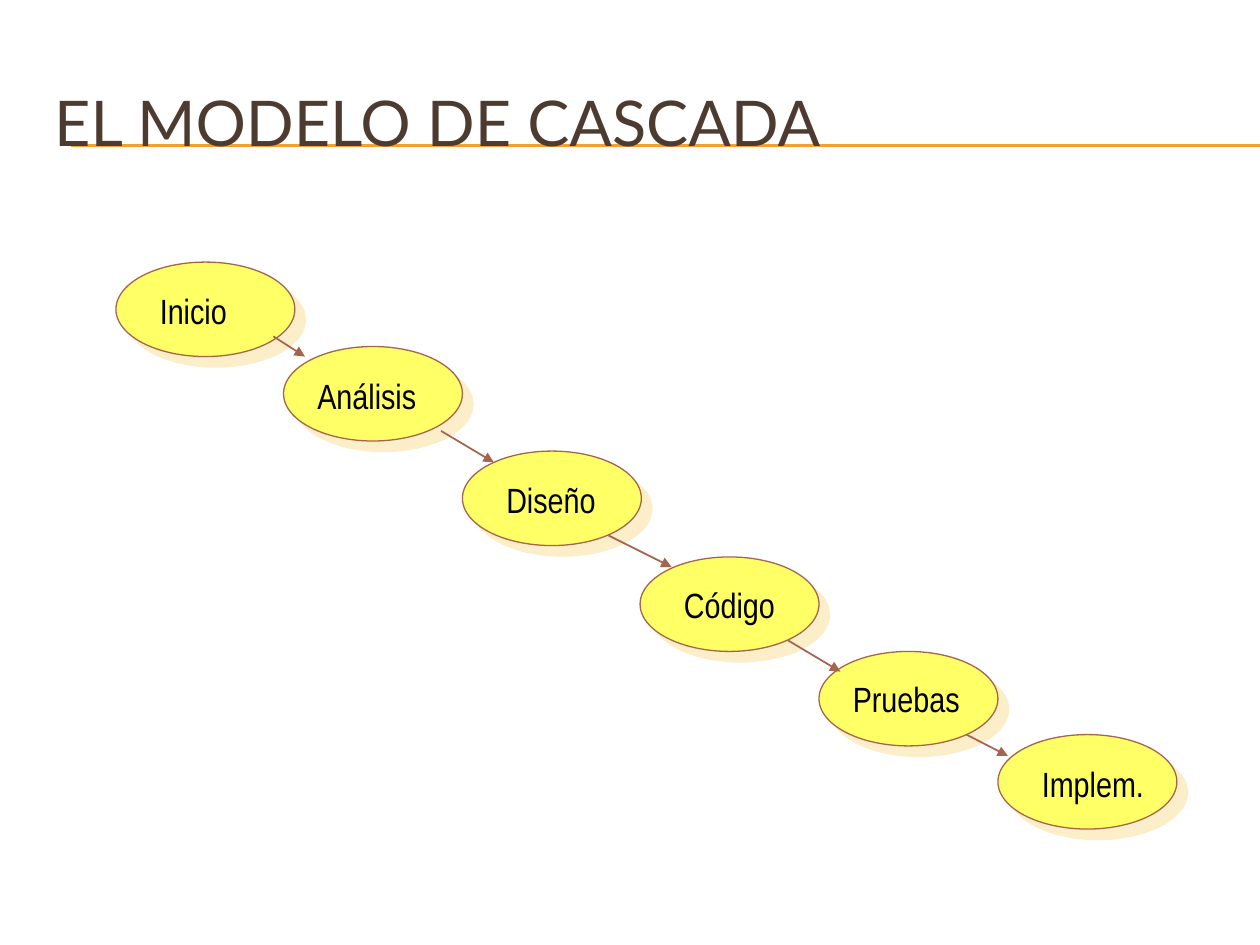
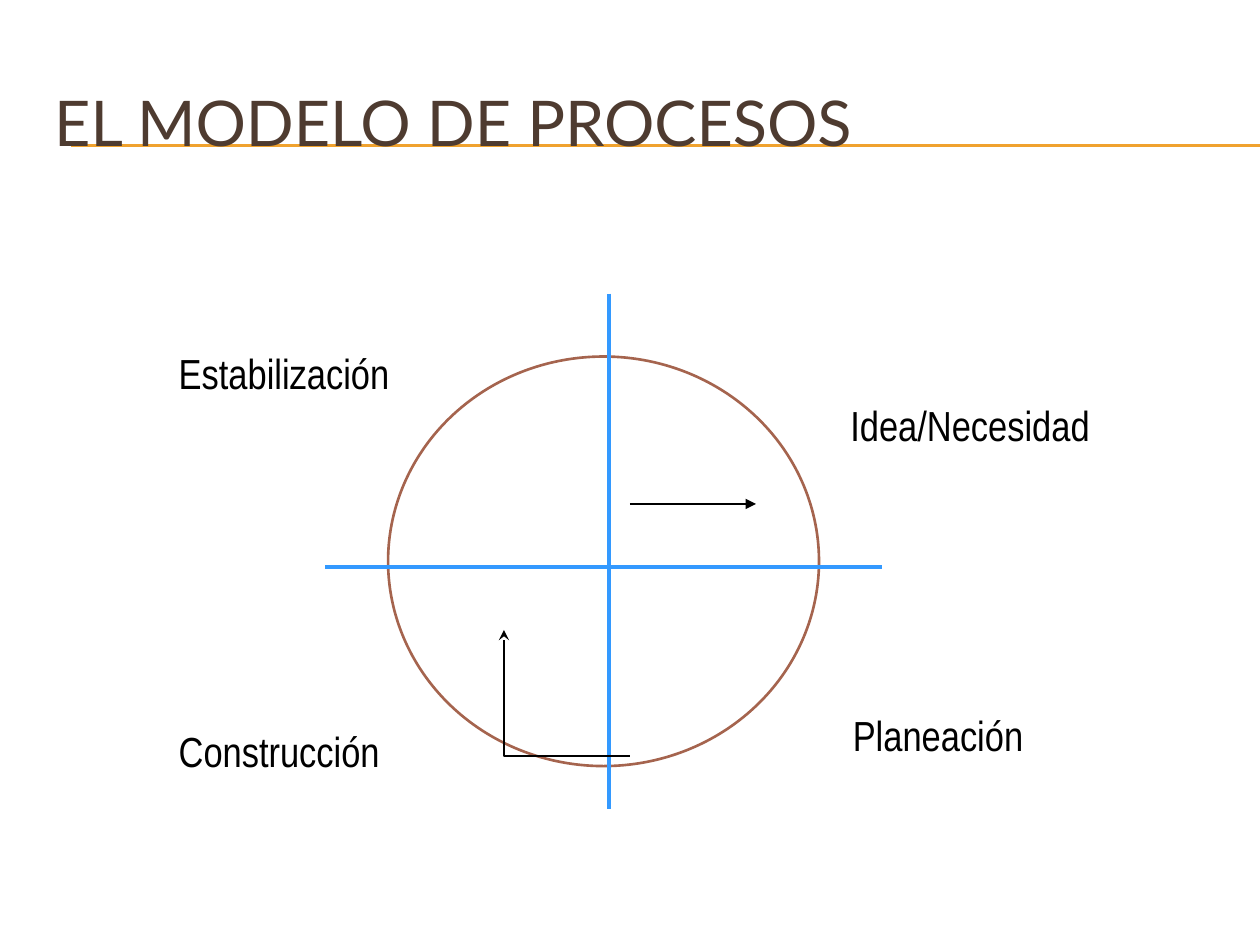
"""Build two slides on the waterfall model and the process model."""
from lxml import etree
from pptx import Presentation
from pptx.dml.color import RGBColor
from pptx.enum.shapes import MSO_CONNECTOR, MSO_SHAPE
from pptx.enum.text import MSO_ANCHOR, MSO_AUTO_SIZE, PP_ALIGN
from pptx.oxml.ns import qn
from pptx.util import Inches, Pt

OVAL = MSO_SHAPE.OVAL
LINE = MSO_CONNECTOR.STRAIGHT
LEFT = PP_ALIGN.LEFT
MIDDLE = MSO_ANCHOR.MIDDLE
GROW = MSO_AUTO_SIZE.SHAPE_TO_FIT_TEXT

HUES = {"title": "4E3B30", "rule": "F0A22E", "edge": "A5644E", "step": "FFFF66",
        "shade": "FBEEC9", "axis": "3399FF", "ink": "000000"}
HEAD_FONT, TEXT_FONT = "Lato", "Arial Narrow"
RULES = [(0.56, y, 10, y) for y in (1.15, 1.16)]

STEP_SIZE = (1.42, 0.75)
STEPS = [
    ("Inicio", (0.92, 2.08), (1.17, 2.25, 0.84)),
    ("Análisis", (2.25, 2.75), (2.42, 2.92, 1.07)),
    ("Diseño", (3.67, 3.58), (3.92, 3.75, 0.96)),
    ("Código", (5.08, 4.42), (5.33, 4.58, 0.99)),
    ("Pruebas", (6.5, 5.17), (6.67, 5.33, 1.1)),
    ("Implem.", (7.92, 5.83), (8.17, 6, 1.06)),
]
ARROWS = [
    (2.17, 2.67, 2.42, 2.83),
    (3.5, 3.42, 3.92, 3.67),
    (4.83, 4.25, 5.33, 4.5),
    (6.25, 5.08, 6.67, 5.33),
    (7.67, 5.83, 8, 6),
]

RING = (3.08, 2.83, 3.42, 3.25)
AXES = [(4.83, 2.33, 4.83, 6.42), (2.58, 4.5, 7, 4.5)]
PHASES = [
    ("Idea/Necesidad", (6.65, 3.12, 2.11)),
    ("Estabilización", (1.32, 2.71, 1.88)),
    ("Construcción", (1.32, 5.71, 1.8)),
    ("Planeación", (6.67, 5.58, 1.56)),
]
CURVES = [
    ("triangle", [(5.25, 3.5), (5.49, 3.55), (5.74, 3.6), (5.86, 3.73),
                  (5.99, 3.85), (5.98, 4.16), (6, 4.25)]),
    ("stealth", [(4.67, 5.58), (4.49, 5.56), (4.31, 5.54), (4.17, 5.5),
                 (4.03, 5.46), (3.9, 5.4), (3.83, 5.33),
                 (3.76, 5.26), (3.76, 5.17), (3.75, 5.08),
                 (3.74, 5), (3.74, 4.92), (3.75, 4.83)]),
]
CUTS = 12


def hue(name):
    return RGBColor.from_string(HUES[name])


def inch(nums):
    return [Inches(n) for n in nums]


def stroke(shape, name, width, head=None):
    shape.line.color.rgb = hue(name)
    shape.line.width = Pt(width)
    if head:
        ln = shape.line._get_or_add_ln()
        etree.SubElement(ln, qn("a:tailEnd"), type=head)


def add_line(slide, ends, name, width, head=None):
    line = slide.shapes.add_connector(LINE, *inch(ends))
    stroke(line, name, width, head)
    etree.SubElement(line._element.spPr, qn("a:effectLst"))


def add_oval(slide, box, width, fill=None):
    oval = slide.shapes.add_shape(OVAL, *inch(box))
    oval.shadow.inherit = False
    if fill:
        oval.fill.solid()
        oval.fill.fore_color.rgb = hue(fill)
    else:
        oval.fill.background()
    stroke(oval, "edge", width)
    return oval


def cast(shape):
    list_ = shape._element.spPr.find(qn("a:effectLst"))
    shade = etree.SubElement(list_, qn("a:outerShdw"), blurRad="0",
                             dist=str(Pt(8.5)), dir=str(45 * 60000),
                             algn="ctr", rotWithShape="0")
    etree.SubElement(shade, qn("a:srgbClr"), val=HUES["shade"])


def write(frame, text, size, font, name):
    para = frame.paragraphs[0]
    para.alignment = LEFT
    run = para.add_run()
    run.text = text
    run.font.size = Pt(size)
    run.font.name = font
    run.font.color.rgb = hue(name)


def add_label(slide, text, spot, high, size):
    box = slide.shapes.add_textbox(*inch((*spot, high)))
    box.text_frame.word_wrap = False
    box.text_frame.auto_size = GROW
    write(box.text_frame, text, size, TEXT_FONT, "ink")


def bend(knots):
    dots = [knots[0]]
    for i in range(0, len(knots) - 1, 3):
        for n in range(1, CUTS + 1):
            t = n / CUTS
            u = 1 - t
            parts = (u ** 3, 3 * u * u * t, 3 * u * t * t, t ** 3)
            dots.append(tuple(sum(w * k[axis] for w, k in zip(parts, knots[i:i + 4]))
                              for axis in (0, 1)))
    return dots


def add_curve(slide, knots, head):
    first, *rest = bend(knots)
    pen = slide.shapes.build_freeform(*first, scale=Inches(1))
    pen.add_line_segments(rest, close=False)
    curve = pen.convert_to_shape()
    curve.shadow.inherit = False
    curve.fill.background()
    stroke(curve, "ink", 1, head)


def add_slide(deck, text):
    slide = deck.slides.add_slide(deck.slide_layouts[5])
    for ends in RULES:
        add_line(slide, ends, "rule", 0.75)
    title = slide.shapes.title
    title.left, title.top, title.width, title.height = inch((0.33, 0.5, 9.5, 0.92))
    title.text_frame.vertical_anchor = MIDDLE
    write(title.text_frame, text, 36, HEAD_FONT, "title")
    slide.shapes._spTree.append(title._element)
    return slide


def draw_steps(deck):
    slide = add_slide(deck, "EL MODELO DE CASCADA")
    for _, spot, _ in reversed(STEPS):
        cast(add_oval(slide, spot + STEP_SIZE, 0.75, "step"))
    for text, _, spot in STEPS:
        add_label(slide, text, spot, 0.43, 20)
    for ends in ARROWS:
        add_line(slide, ends, "edge", 1, "triangle")


def draw_cycle(deck):
    slide = add_slide(deck, "EL MODELO DE PROCESOS")
    add_oval(slide, RING, 1.5)
    for ends in AXES:
        add_line(slide, ends, "axis", 2.25)
    for text, spot in PHASES:
        add_label(slide, text, spot, 0.5, 24)
    for head, knots in CURVES:
        add_curve(slide, knots, head)


def main():
    deck = Presentation()
    deck.slide_width, deck.slide_height = inch((10, 7.5))
    draw_steps(deck)
    draw_cycle(deck)
    deck.save("out.pptx")


if __name__ == "__main__":
    main()
